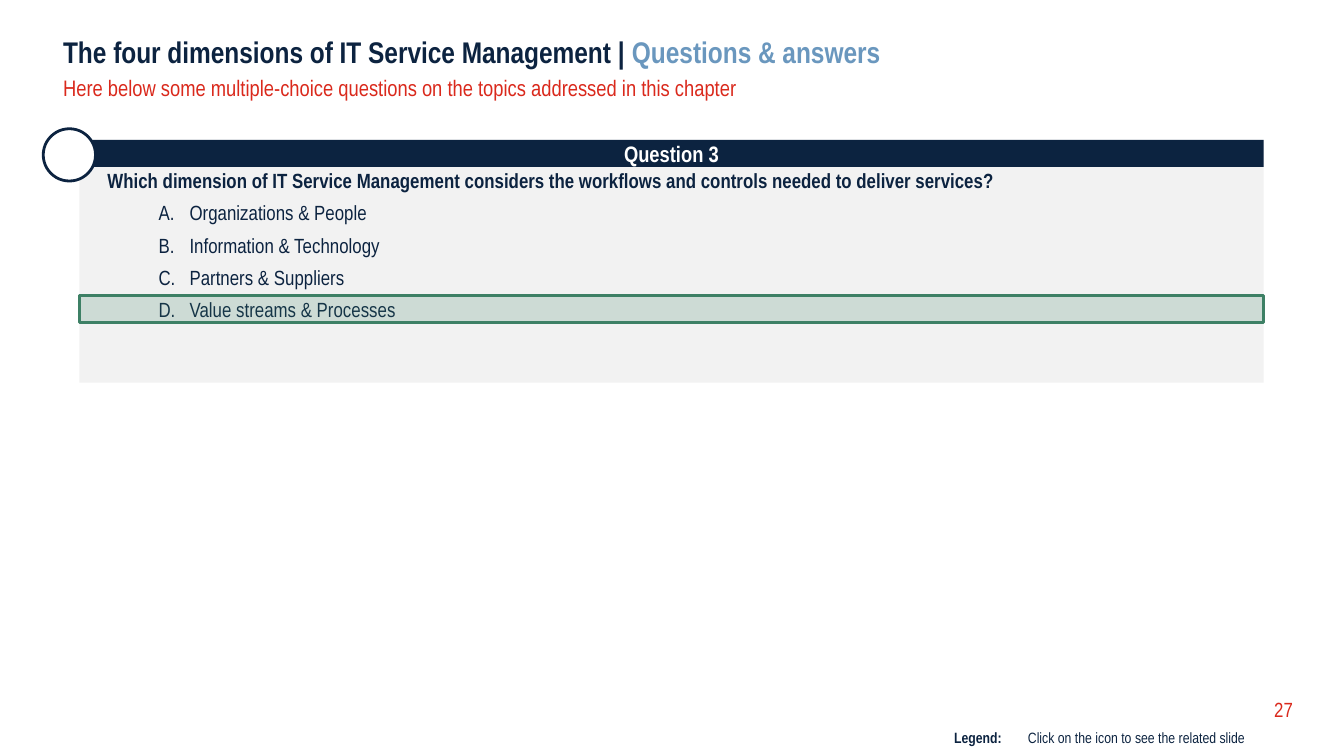
import pptx
import pptx.dml.color
import pptx.enum.shapes
import pptx.enum.text
import pptx.oxml
import pptx.oxml.ns
import pptx.util

Pt = pptx.util.Pt
SHAPE = pptx.enum.shapes.MSO_SHAPE
ANCHOR = pptx.enum.text.MSO_ANCHOR
ALIGN = pptx.enum.text.PP_ALIGN
NAVY, BLUE, RED, GREEN = "0C2340", "6A97BE", "DA291C", "3D8065"
WHITE, GREY = "FFFFFF", "F2F2F2"
FONT = "Arial Narrow"


def rgb(color):
    """Turn a hex string into a colour."""
    return pptx.dml.color.RGBColor.from_string(color)


def write(p, text, size=11, color=NAVY, bold=False):
    """Add a formatted run to a paragraph."""
    r = p.add_run()
    r.text = text
    r.font.name = FONT
    r.font.size = Pt(size)
    r.font.bold = bold
    r.font.color.rgb = rgb(color)


def set_frame(sp, insets=(0, 0, 0, 0), anchor=ANCHOR.TOP, align=ALIGN.LEFT):
    """Set up a text frame and return its first paragraph."""
    tf = sp.text_frame
    tf.word_wrap = True
    tf.auto_size = pptx.enum.text.MSO_AUTO_SIZE.NONE
    tf.vertical_anchor = anchor
    tf.margin_left, tf.margin_top, tf.margin_right, tf.margin_bottom = map(Pt, insets)
    p = tf.paragraphs[0]
    p.alignment = align
    return p


def add_shape(s, kind, box, fill, line=None, alpha=None):
    """Add a filled shape, optionally outlined and translucent."""
    sp = s.shapes.add_shape(kind, *map(Pt, box))
    sp.shadow.inherit = False
    sp.fill.solid()
    sp.fill.fore_color.rgb = rgb(fill)
    if alpha is not None:
        clr = sp.fill._xPr.find(".//" + pptx.oxml.ns.qn("a:srgbClr"))
        clr.append(pptx.oxml.parse_xml(
            f'<a:alpha {pptx.oxml.ns.nsdecls("a")} val="{alpha * 1000}"/>'))
    if line:
        sp.line.color.rgb = rgb(line)
        sp.line.width = Pt(1.5)
    else:
        sp.line.fill.background()
    return sp


def add_label(s, box, text, insets=(0, 0, 0, 0), anchor=ANCHOR.TOP, **style):
    """Add a text box with one paragraph and return that paragraph."""
    p = set_frame(s.shapes.add_textbox(*map(Pt, box)), insets, anchor)
    write(p, text, **style)
    return p


def add_header(s, x, y, w):
    """Place the title and the subtitle under it."""
    title = s.shapes.title
    title.left, title.top, title.width, title.height = map(Pt, (x, y, w, 18.7))
    p = set_frame(title)
    p.line_spacing = Pt(18)
    write(p, "The four dimensions of IT Service Management | ", size=16, bold=True)
    write(p, "Questions & answers", size=16, color=BLUE, bold=True)
    p = add_label(s, (x, y + 20.9, w, 14.4),
                  "Here below some multiple-choice questions on the topics "
                  "addressed in this chapter", size=12, color=RED)
    p.line_spacing = Pt(13.8)


def add_question(s, x, y, w, h, heading, question, answers, correct):
    """Place a question card with lettered answers and the correct one marked."""
    bar_h, badge, pitch = 14.4, 28, 17.2
    card = add_shape(s, SHAPE.RECTANGLE, (x, y, w, h), GREY)
    p = set_frame(card, (15.1, 15.1, 7.2, 3.6))
    p.space_after = Pt(2)
    write(p, question, bold=True)
    for answer in answers:
        p = card.text_frame.add_paragraph()
        p.alignment = ALIGN.LEFT
        p.level = 1
        p.space_before = p.space_after = Pt(2)
        pPr = p._p.get_or_add_pPr()
        pPr.set("marL", str(Pt(44)))
        pPr.set("indent", str(Pt(-16.6)))
        pPr.append(pptx.oxml.parse_xml(
            f'<a:buAutoNum {pptx.oxml.ns.nsdecls("a")} type="alphaUcPeriod"/>'))
        write(p, answer)
    mark_y = y + 31.9 + correct * pitch
    add_shape(s, SHAPE.RECTANGLE, (x, mark_y, w, bar_h), GREEN, line=GREEN, alpha=20)
    bar = add_shape(s, SHAPE.RECTANGLE, (x, y, w, bar_h), NAVY)
    p = set_frame(bar, (14.4, 3.6, 14.4, 3.6), ANCHOR.MIDDLE, ALIGN.CENTER)
    write(p, heading, size=12, color=WHITE, bold=True)
    add_shape(s, SHAPE.OVAL, (x - 19.3, y + 8 - badge / 2, badge, badge), WHITE, line=NAVY)


def add_footer(s, x, y):
    """Place the legend and the page number."""
    insets = (7.2, 3.6, 7.2, 3.6)
    add_label(s, (x + 178.6, y - 11.5, 29.5, 11.5), "27", anchor=ANCHOR.BOTTOM, color=RED)
    add_label(s, (x + 39.6, y, 134, 17), "Click on the icon to see the related slide",
              insets, size=8)
    add_label(s, (x, y, 42.5, 14.4), "Legend:", insets, size=8, bold=True)


def main():
    """Build the slide and save it."""
    prs = pptx.Presentation()
    prs.slide_width, prs.slide_height = Pt(720), Pt(405)
    s = prs.slides.add_slide(prs.slide_layouts[5])
    add_header(s, 33.8, 19.4, 658)
    add_question(
        s, 42.5, 75, 634.5, 130, "Question 3",
        "Which dimension of IT Service Management considers the workflows "
        "and controls needed to deliver services?",
        ["Organizations & People", "Information & Technology",
         "Partners & Suppliers", "Value streams & Processes"], correct=3)
    add_footer(s, 504, 386.6)
    prs.save("out.pptx")


if __name__ == "__main__":
    main()
